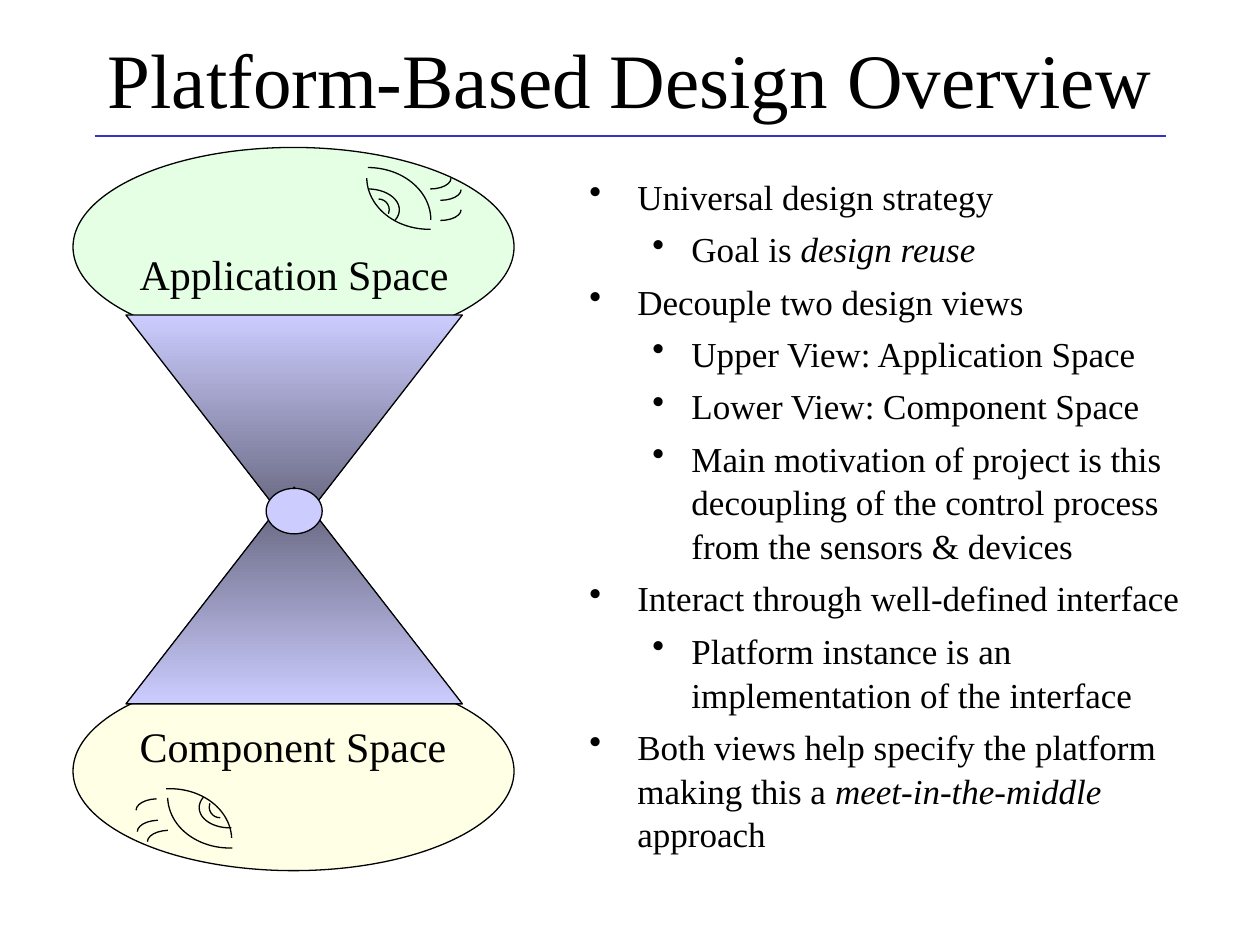
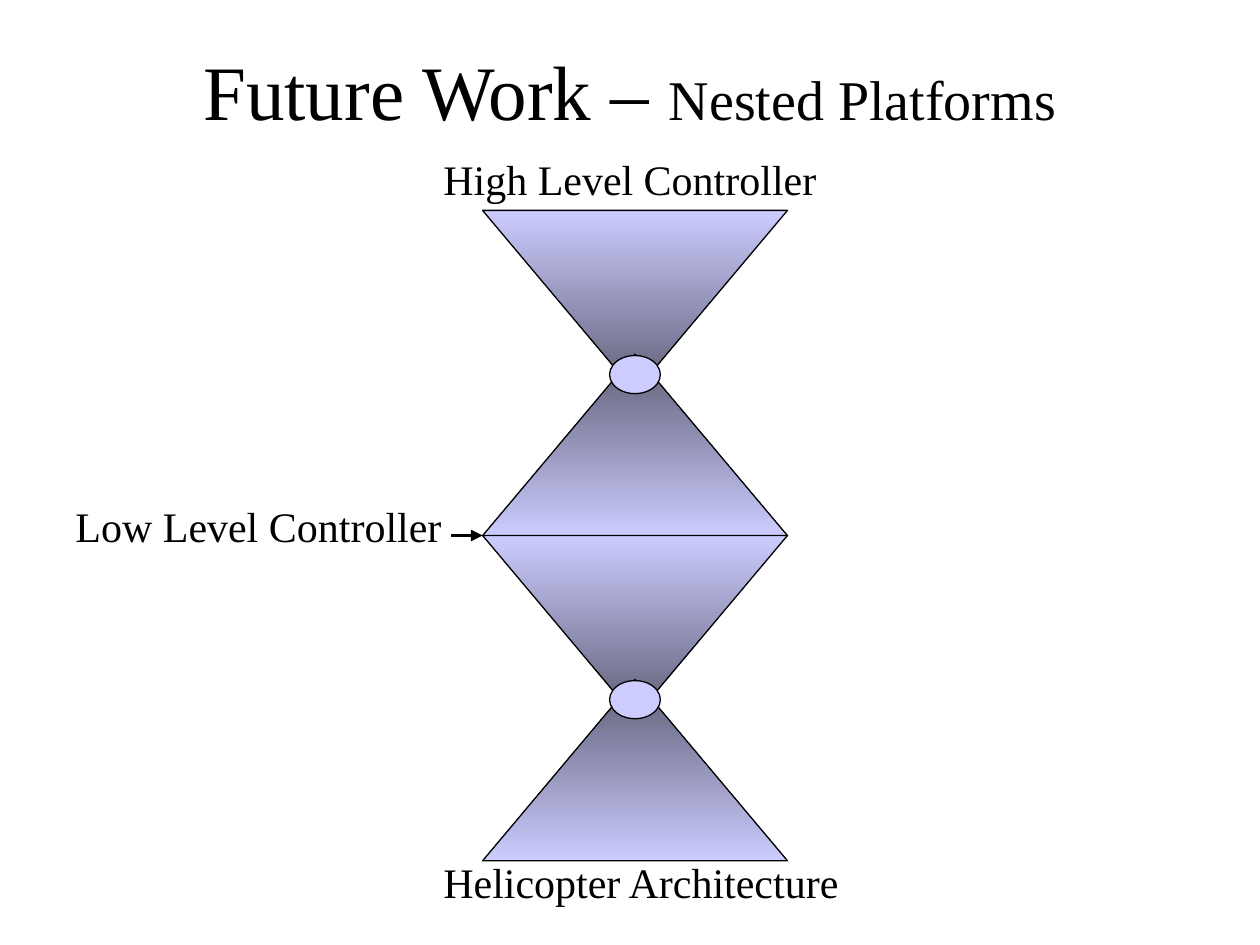
import pptx
import pptx.util
import pptx.dml.color
import pptx.enum.shapes
import pptx.enum.text
import pptx.oxml.ns
from lxml import etree

Inches, Pt = pptx.util.Inches, pptx.util.Pt
RGB = pptx.dml.color.RGBColor.from_string
SHAPE = pptx.enum.shapes.MSO_SHAPE
ALIGN = pptx.enum.text.PP_ALIGN
ANCHOR = pptx.enum.text.MSO_ANCHOR
FIT = pptx.enum.text.MSO_AUTO_SIZE
qn = pptx.oxml.ns.qn

FONT = "Times New Roman"
HUES = {
    "ink": "000000",
    "rule": "3333CC",
    "light": "CCCCFF",
    "dark": "5E5E75",
    "green": "CCFFCC",
    "cream": "FFFFCC",
}
INDENTS = [(0.38, -0.38), (0.81, -0.31)]  # left margin and hanging indent by level


def write(slide, box, *paras, size=24, align=ALIGN.LEFT, anchor=ANCHOR.TOP,
          wrap=False, levels=None):
    """Add a text box; a paragraph is a list of (text, font settings) runs."""
    frame = slide.shapes.add_textbox(*map(Inches, box)).text_frame
    frame.word_wrap = wrap
    frame.auto_size = FIT.NONE if wrap else FIT.SHAPE_TO_FIT_TEXT
    frame.vertical_anchor = anchor
    for i, runs in enumerate(paras):
        para = frame.paragraphs[0] if i == 0 else frame.add_paragraph()
        para.alignment = align
        if levels:
            para.level = levels[i]
            props = para._p.get_or_add_pPr()
            margin, hang = INDENTS[levels[i]]
            props.set("marL", str(Inches(margin)))
            props.set("indent", str(Inches(hang)))
            etree.SubElement(props, qn("a:buChar")).set("char", "•")
            para.line_spacing = 1.04
            if i:
                para.space_before = Pt(5)
        for text, style in runs:
            run = para.add_run()
            run.text = text
            run.font.name = FONT
            run.font.size = Pt(style.get("size", size))
            run.font.italic = style.get("italic")
            run.font.color.rgb = RGB(HUES["ink"])


def draw(slide, kind, box, fill=None, alpha=None, turn=0):
    """Add an outlined shape; two fill names make a top-to-bottom gradient."""
    shape = slide.shapes.add_shape(kind, *map(Inches, box))
    shape.shadow.inherit = False
    shape.rotation = turn
    shape.line.color.rgb = RGB(HUES["ink"])
    shape.line.width = Pt(0.75)
    if fill is None:
        shape.fill.background()
    elif isinstance(fill, tuple):
        shape.fill.gradient()
        shape.fill.gradient_angle = 270
        for stop, name in zip(shape.fill.gradient_stops, fill):
            stop.color.rgb = RGB(HUES[name])
    else:
        shape.fill.solid()
        shape.fill.fore_color.rgb = RGB(HUES[fill])
    if alpha:
        color = shape._element.spPr.find(qn("a:solidFill"))[0]
        etree.SubElement(color, qn("a:alpha")).set("val", str(alpha * 1000))
    return shape


deck = pptx.Presentation()
deck.slide_width, deck.slide_height = Inches(10), Inches(7.5)
views, nested = [deck.slides.add_slide(deck.slide_layouts[6]) for _ in range(2)]

# Titles
titles = [
    (views, (0.5, 0.08, 9, 1.08), [("Platform-Based Design Overview", {})]),
    (nested, (0.75, 0.17, 8.5, 1.08),
     [("Future Work – ", {}), ("Nested Platforms", {"size": 32})]),
]
for slide, box, runs in titles:
    write(slide, box, runs, size=44, align=ALIGN.CENTER, anchor=ANCHOR.MIDDLE, wrap=True)

# Spaces above and below the first hourglass
for top, fill in [(5.33, "cream"), (1.17, "green")]:
    draw(views, SHAPE.OVAL, (0.58, top, 3.5, 1.58), fill, alpha=50)

# Hourglasses: the cones overlap by a fifth, and the neck covers the crossing
glasses = [
    (views, 1, 2.5, 2.67, 1.72),
    (nested, 3.83, 1.67, 2.42, 1.44),
    (nested, 3.83, 4.25, 2.42, 1.44),
]
for slide, left, top, width, height in glasses:
    foot = top + 0.8 * height - 0.01
    neck = width / 6
    draw(slide, SHAPE.FLOWCHART_MERGE, (left, top, width, height), ("light", "dark"))
    draw(slide, SHAPE.ISOSCELES_TRIANGLE, (left, foot, width, height), ("dark", "light"))
    draw(slide, SHAPE.OVAL,
         (left + (width - neck) / 2, foot + 0.01, neck, 0.21 * height), "light")

# Eyes made of arcs: box, turn, start and end angle
lid, iris, lash = (270, 0), (270, 22), (0, 90)
arcs = [
    ((1.33, 5.9, 1, 0.83), 178.1, lid),
    ((0.84, 6.26, 1, 0.83), 357.2, lid),
    ((1.58, 6.24, 0.5, 0.33), 178.1, iris),
    ((1.66, 6.32, 0.17, 0.17), 178.1, iris),
    ((1.17, 6.59, 0.33, 0.17), 178.1, lash),
    ((1.09, 6.51, 0.33, 0.17), 178.1, lash),
    ((1.08, 6.34, 0.33, 0.17), 178.1, lash),
    ((2.42, 1.33, 1, 0.83), 0, lid),
    ((2.91, 0.99, 1, 0.83), 179.1, lid),
    ((2.67, 1.5, 0.5, 0.33), 0, iris),
    ((2.92, 1.58, 0.17, 0.17), 0, iris),
    ((3.25, 1.33, 0.33, 0.17), 0, lash),
    ((3.33, 1.42, 0.33, 0.17), 0, lash),
    ((3.33, 1.58, 0.33, 0.17), 0, lash),
]
for box, turn, angles in arcs:
    arc = draw(views, SHAPE.ARC, box, turn=turn)
    for i, angle in enumerate(angles):
        arc.adjustments[i] = angle * 0.6  # 60000 units a degree, over 100000

# Labels
labels = [
    (views, (1.01, 5.67, 2.68, 0.5), "Component Space"),
    (views, (1.01, 1.92, 2.68, 0.5), "Application Space"),
    (nested, (3.42, 6.75, 3.38, 0.5), "Helicopter Architecture"),
    (nested, (0.5, 3.92, 3.15, 0.5), "Low Level Controller"),
    (nested, (3.42, 1.17, 3.2, 0.5), "High Level Controller"),
]
for slide, box, text in labels:
    write(slide, box, [(text, {})])

# Bullets
slant = {"italic": True}
points = [
    (0, [("Universal design strategy", {})]),
    (1, [("Goal is ", {}), ("design reuse", slant)]),
    (0, [("Decouple two design views", {})]),
    (1, [("Upper View: Application Space", {})]),
    (1, [("Lower View: Component Space", {})]),
    (1, [("Main motivation of project is this decoupling of the control process "
          "from the sensors & devices", {})]),
    (0, [("Interact through well-defined interface", {})]),
    (1, [("Platform instance is an implementation of the interface", {})]),
    (0, [("Both views help specify the platform making this a ", {}),
         ("meet-in-the-middle", slant), (" approach", {})]),
]
write(views, (4.58, 1.33, 5, 5.5), *[runs for _, runs in points],
      size=20, wrap=True, levels=[level for level, _ in points])

# Title rule and pointer
lines = [
    (views, 0.75, 9.25, 1.08, "rule", 0.75, False),
    (nested, 3.58, 3.83, 4.25, "ink", 2.25, True),
]
for slide, start, end, y, hue, width, arrow in lines:
    line = slide.shapes.add_connector(
        pptx.enum.shapes.MSO_CONNECTOR.STRAIGHT,
        Inches(start), Inches(y), Inches(end), Inches(y))
    line.line.color.rgb = RGB(HUES[hue])
    line.line.width = Pt(width)
    if arrow:
        etree.SubElement(line.line._get_or_add_ln(), qn("a:tailEnd")).set("type", "triangle")
    etree.SubElement(line._element.spPr, qn("a:effectLst"))

deck.save("out.pptx")
